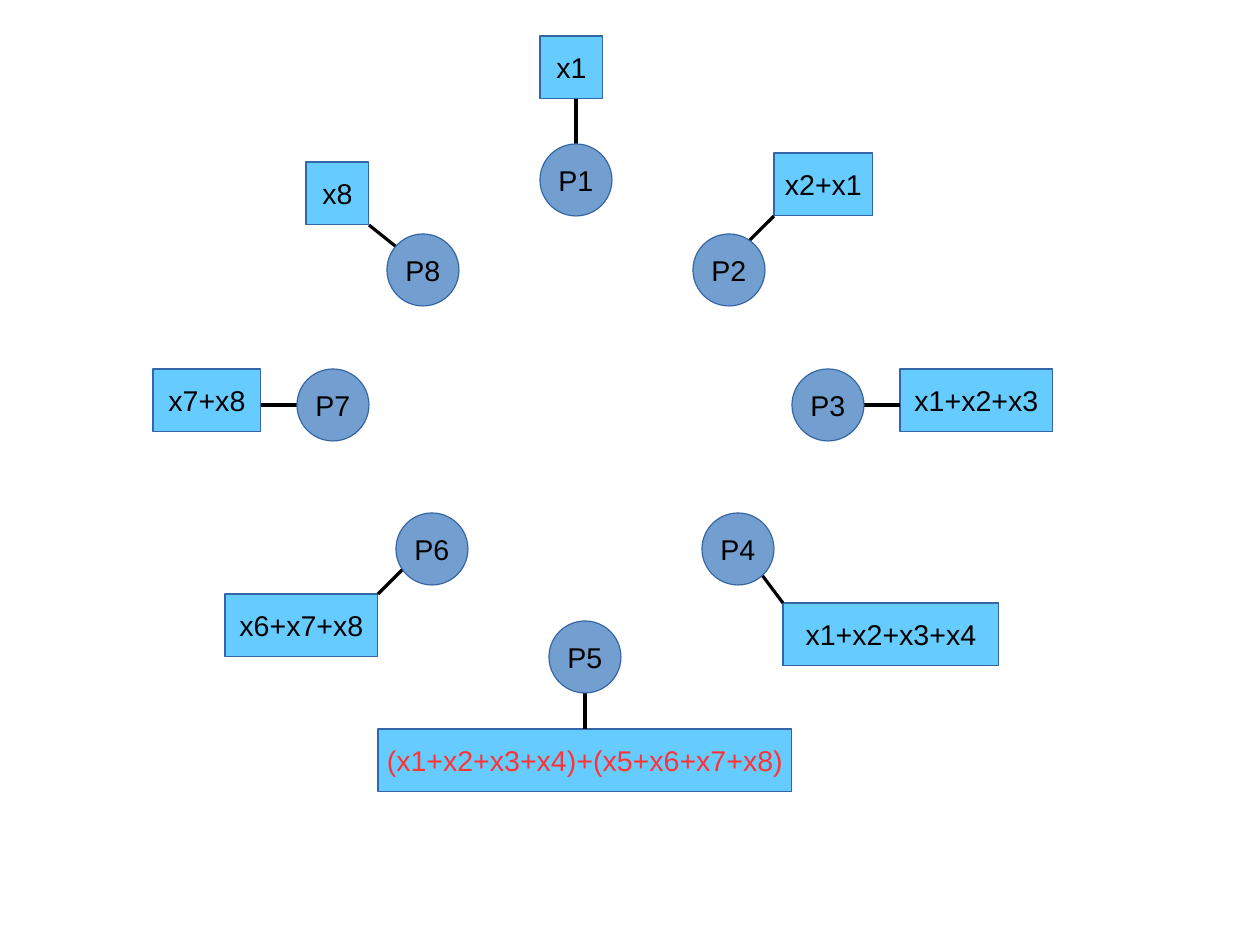
from lxml.etree import SubElement
from pptx import Presentation
from pptx.dml.color import RGBColor
from pptx.enum.shapes import MSO_CONNECTOR, MSO_SHAPE
from pptx.enum.text import MSO_ANCHOR, PP_ALIGN
from pptx.oxml.ns import qn
from pptx.util import Cm, Pt

# All lengths are in centimetres.
SLIDE_WIDTH, SLIDE_HEIGHT = 28, 21
DIAMETER = 1.6
SUM_HEIGHT = 1.4
HAIRLINE = Pt(0)

COLORS = {
    "process": "729FCF",
    "sum": "66CCFF",
    "outline": "3465A4",
    "text": "000000",
    "result": "FF3333",
    "link": "000000",
}

# process, its centre, link start from the centre, sum, sum left, top and width, text colour
PROCESSES = [
    ("P1", (12.8, 4), (0, -0.8), "x1", (12, 0.8, 1.4), "text"),
    ("P2", (16.2, 6), (0.4, -0.6), "x2+x1", (17.2, 3.4, 2.2), "text"),
    ("P3", (18.4, 9), (0.8, 0), "x1+x2+x3", (20, 8.2, 3.4), "text"),
    ("P4", (16.4, 12.2), (0.4, 0.4), "x1+x2+x3+x4", (17.4, 13.4, 4.8), "text"),
    ("P5", (13, 14.6), (0, 0.8), "(x1+x2+x3+x4)+(x5+x6+x7+x8)", (8.4, 16.2, 9.2), "result"),
    ("P6", (9.6, 12.2), (-0.6, 0.4), "x6+x7+x8", (5, 13.2, 3.4), "text"),
    ("P7", (7.4, 9), (-0.8, 0), "x7+x8", (3.4, 8.2, 2.4), "text"),
    ("P8", (9.4, 6), (-0.2, -0.2), "x8", (6.8, 3.6, 1.4), "text"),
]


def rgb(role):
    return RGBColor.from_string(COLORS[role])


def write(frame, text, size=18, font="Arial", color="text", align=PP_ALIGN.CENTER):
    frame.word_wrap = False
    frame.vertical_anchor = MSO_ANCHOR.MIDDLE
    paragraph = frame.paragraphs[0]
    paragraph.alignment = align
    run = paragraph.add_run()
    run.text = text
    run.font.size = Pt(size)
    run.font.name = font
    run.font.color.rgb = rgb(color)


def add_node(slide, kind, box, text, fill, color="text"):
    node = slide.shapes.add_shape(kind, *map(Cm, box))
    node.shadow.inherit = False
    node.fill.solid()
    node.fill.fore_color.rgb = rgb(fill)
    node.line.color.rgb = rgb("outline")
    node.line.width = HAIRLINE
    write(node.text_frame, text, color=color)


def add_link(slide, start, end):
    link = slide.shapes.add_connector(MSO_CONNECTOR.STRAIGHT, *map(Cm, (*start, *end)))
    link.line.color.rgb = rgb("link")
    link.line.width = HAIRLINE
    SubElement(link._element.spPr, qn("a:effectLst"))


def nearest_point(point, box):
    """Return the point of the box that lies closest to the given point."""
    x, y = point
    left, top, width, height = box
    return min(max(x, left), left + width), min(max(y, top), top + height)


def main():
    deck = Presentation()
    deck.slide_width, deck.slide_height = Cm(SLIDE_WIDTH), Cm(SLIDE_HEIGHT)
    slide = deck.slides.add_slide(deck.slide_layouts[6])

    for process, (x, y), (dx, dy), total, place, color in PROCESSES:
        sum_box = (*place, SUM_HEIGHT)
        circle = (x - DIAMETER / 2, y - DIAMETER / 2, DIAMETER, DIAMETER)
        add_node(slide, MSO_SHAPE.RECTANGLE, sum_box, total, "sum", color)
        add_link(slide, (x + dx, y + dy), nearest_point((x, y), sum_box))
        add_node(slide, MSO_SHAPE.OVAL, circle, process, "process")

    deck.save("out.pptx")


if __name__ == "__main__":
    main()
